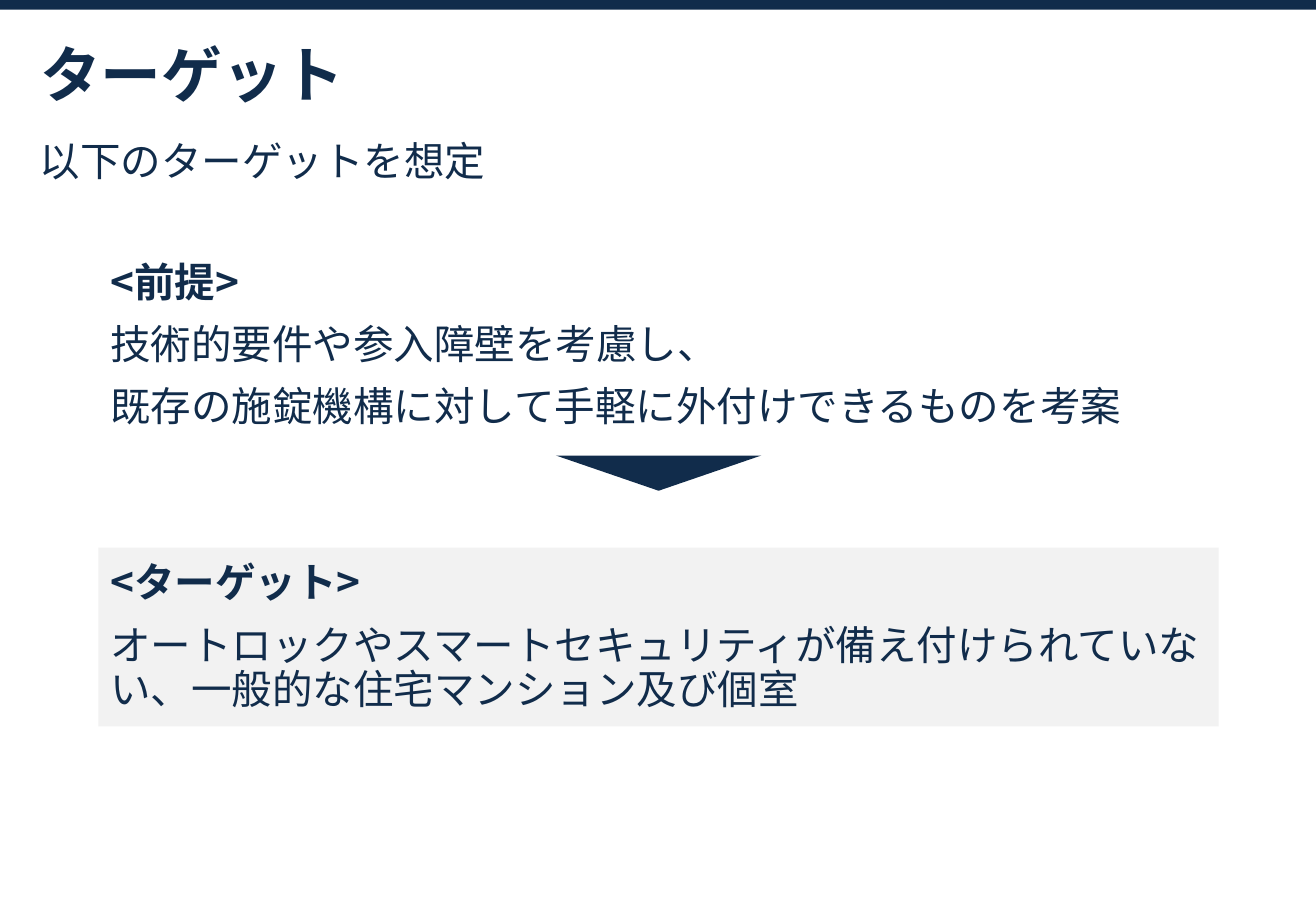
"""Build the target slide: premise, arrow and target user."""
from lxml import etree
from pptx import Presentation
from pptx.dml.color import RGBColor
from pptx.enum import shapes, text
from pptx.oxml import ns
from pptx.util import Inches, Pt

FONT = "Noto Sans CJK JP"
NAVY, GREY = "112C4B", "F2F2F2"
TITLE = "ターゲット"
LEAD = "以下のターゲットを想定"
PREMISE = ["<前提>", "技術的要件や参入障壁を考慮し、",
           "既存の施錠機構に対して手軽に外付けできるものを考案"]
TARGET = ["<ターゲット>",
          "オートロックやスマートセキュリティが備え付けられていない、一般的な住宅マンション及び個室"]
WIDTH, HEIGHT = 10.83, 7.5
LEFT, BLOCK_W = 0.81, 9.22
ARROW_W = 1.69


def color(value):
    return RGBColor.from_string(value)


def write(s, lines, size=24, heading=True, anchor=text.MSO_ANCHOR.TOP):
    """Fill a shape with left-aligned lines, the first one bold if a heading."""
    tf = s.text_frame
    tf.word_wrap = True
    tf.auto_size = text.MSO_AUTO_SIZE.NONE
    tf.vertical_anchor = anchor
    for i, line in enumerate(lines):
        p = tf.paragraphs[0] if i == 0 else tf.add_paragraph()
        p.text = line
        p.alignment = text.PP_ALIGN.LEFT
        p.line_spacing = Pt(size * 1.09)
        p.space_before = Pt(10.8 if i else 0)
        p.font.size = Pt(size)
        p.font.bold = heading and i == 0
        p.font.color.rgb = color(NAVY)
        p.font.name = FONT
        latin = p._p.pPr.find(".//" + ns.qn("a:latin"))
        east = etree.Element(ns.qn("a:ea"), typeface=FONT)
        latin.addnext(east)
    return tf


def add_box(slide, x, y, w, h):
    return slide.shapes.add_textbox(*map(Inches, (x, y, w, h)))


def add_filled(slide, kind, fill, x, y, w, h):
    s = slide.shapes.add_shape(kind, *map(Inches, (x, y, w, h)))
    s.shadow.inherit = False
    s.fill.solid()
    s.fill.fore_color.rgb = color(fill)
    s.line.fill.background()
    return s


def main():
    prs = Presentation()
    prs.slide_width, prs.slide_height = Inches(WIDTH), Inches(HEIGHT)
    slide = prs.slides.add_slide(prs.slide_layouts[5])
    kinds = shapes.MSO_SHAPE

    add_filled(slide, kinds.RECTANGLE, NAVY, 0, 0, WIDTH, 0.08)

    title = slide.shapes.title
    title.left, title.top = Inches(0.23), Inches(0.26)
    title.width, title.height = Inches(10.58), Inches(0.6)
    tf = write(title, [TITLE], size=36)
    tf.margin_top, tf.margin_bottom = Inches(0.1), 0

    write(add_box(slide, 0.23, 1.11, 10.34, 0.43), [LEAD], heading=False)
    write(add_box(slide, LEFT, 2.1, BLOCK_W, 1.6), PREMISE)

    target = add_filled(slide, kinds.RECTANGLE, GREY, LEFT, 4.51, BLOCK_W, 1.47)
    write(target, TARGET, anchor=text.MSO_ANCHOR.MIDDLE)

    arrow_x = LEFT + (BLOCK_W - ARROW_W) / 2
    arrow = add_filled(slide, kinds.ISOSCELES_TRIANGLE, NAVY,
                       arrow_x, 3.75, ARROW_W, 0.29)
    arrow.rotation = 180
    prs.save("out.pptx")


if __name__ == "__main__":
    main()
